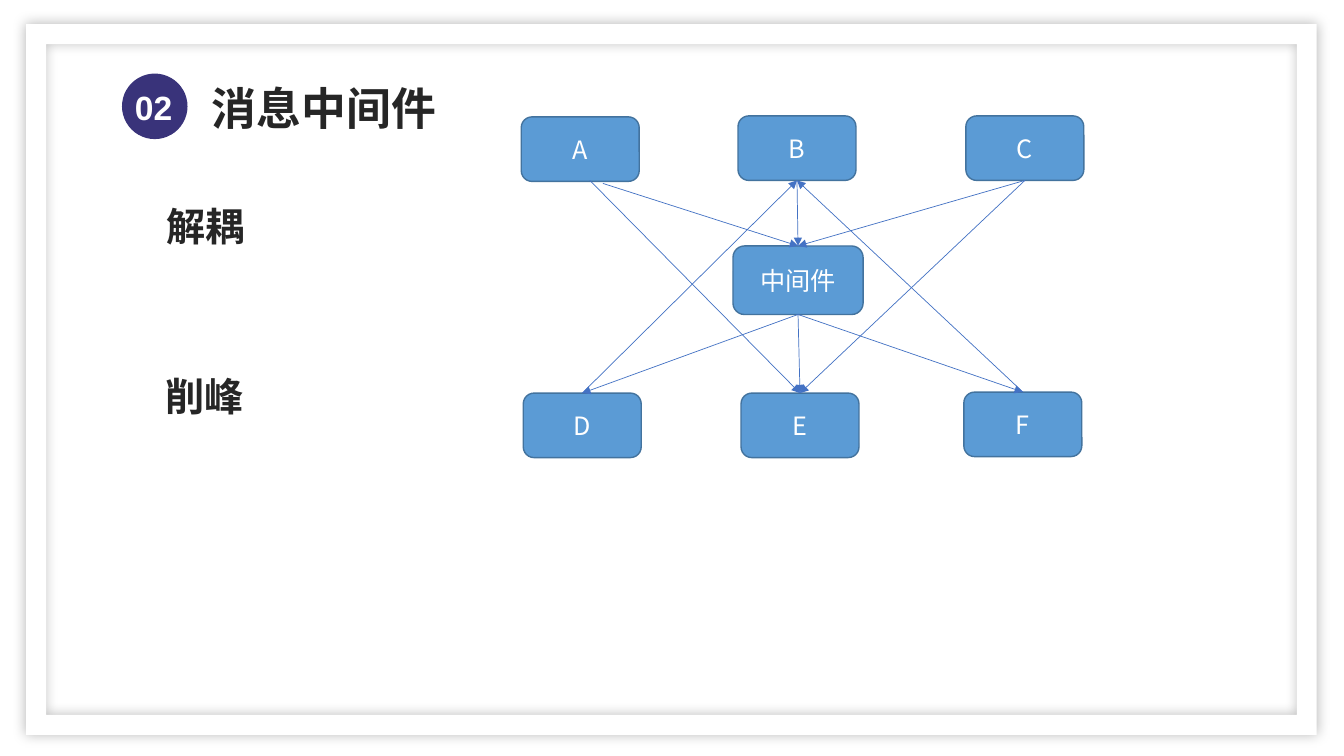
from lxml import etree
from pptx import Presentation
from pptx.dml.color import RGBColor
from pptx.enum import shapes as sh, text as tx
from pptx.oxml import parse_xml
from pptx.oxml.ns import nsdecls, qn
from pptx.util import Inches, Pt

WHITE = RGBColor(0xFF, 0xFF, 0xFF)
INK = RGBColor(0x26, 0x26, 0x26)
PURPLE = RGBColor(0x39, 0x33, 0x7A)
BLUE = RGBColor(0x5B, 0x9B, 0xD5)
EDGE = RGBColor(0x43, 0x73, 0x9E)
ARROW = RGBColor(0x44, 0x72, 0xC4)

TOP, BOTTOM, LEFT, RIGHT = 0, 2, 1, 3
NODE_W, NODE_H = 1.17, 0.64
# Left and top of each node, relative to the diagram
NODES = {
    "A": (0, 0.01), "B": (2.15, 0), "C": (4.41, 0),
    "D": (0.02, 2.75), "E": (2.18, 2.75), "F": (4.39, 2.74),
}
HUB = "中间件"
LINKS = [
    ("D", TOP, "B", BOTTOM), ("F", TOP, "B", BOTTOM), ("C", BOTTOM, "E", TOP),
    ("B", BOTTOM, HUB, TOP), ("C", BOTTOM, HUB, TOP),
    (HUB, BOTTOM, "D", TOP), (HUB, BOTTOM, "E", TOP), (HUB, BOTTOM, "F", TOP),
]
# Arrows from A start beside the middle of its lower side
LOOSE = [(0.68, 0.64, "E"), (0.81, 0.67, HUB)]


def style(run, size, color, face="Arial", bold=True):
    run.font.size, run.font.bold = Pt(size), bold
    run.font.name, run.font.color.rgb = face, color
    if face != "Arial":
        east = etree.SubElement(run.font._element, qn("a:ea"))
        east.set("typeface", face)


def shape(slide, kind, box, fill, edge=None):
    item = slide.shapes.add_shape(kind, *map(Inches, box))
    item.shadow.inherit = False
    item.fill.solid()
    item.fill.fore_color.rgb = fill
    if edge is None:
        item.line.fill.background()
    else:
        item.line.color.rgb, item.line.width = edge, Pt(1)
    return item


def label(slide, box, words, size, color):
    item = slide.shapes.add_textbox(*map(Inches, box))
    frame = item.text_frame
    frame.word_wrap = True
    frame.text = words
    style(frame.paragraphs[0].runs[0], size, color)


def border(slide, box):
    """White frame around the slide with a soft shadow."""
    item = shape(slide, sh.MSO_SHAPE.FRAME, box, WHITE)
    item.adjustments[0] = 0.028
    glow = item._element.spPr.find(qn("a:effectLst"))
    glow.append(parse_xml(
        f'<a:outerShdw {nsdecls("a")} blurRad="{Pt(9)}" dist="0" dir="0" '
        'algn="ctr" rotWithShape="0"><a:srgbClr val="000000">'
        '<a:alpha val="27000"/></a:srgbClr></a:outerShdw>'))


def heading(slide, x, y):
    title = slide.shapes.title
    title.left, title.top = Inches(x + 0.79), Inches(y - 0.09)
    title.width, title.height = Inches(6.99), Inches(0.71)
    frame = title.text_frame
    frame.text = "消息中间件"
    frame.word_wrap = True
    frame.auto_size = tx.MSO_AUTO_SIZE.NONE
    frame.vertical_anchor = tx.MSO_ANCHOR.TOP
    para = frame.paragraphs[0]
    para.alignment, para.line_spacing = tx.PP_ALIGN.LEFT, 1.2
    style(para.runs[0], 32, INK)
    shape(slide, sh.MSO_SHAPE.OVAL, (x, y, 0.65, 0.65), PURPLE)
    label(slide, (x + 0.03, y + 0.08, 0.62, 0.5), "02", 24, WHITE)


def topics(slide, x, y):
    for row, words in enumerate(("解耦", "削峰")):
        label(slide, (x - 0.01 * row, y + 1.68 * row, 2.59, 0.57),
              words, 28, INK)


def node(slide, box, words):
    item = shape(slide, sh.MSO_SHAPE.ROUNDED_RECTANGLE, box, BLUE, EDGE)
    frame = item.text_frame
    frame.text = words
    frame.vertical_anchor = tx.MSO_ANCHOR.MIDDLE
    para = frame.paragraphs[0]
    para.alignment = tx.PP_ALIGN.CENTER
    style(para.runs[0], 18, WHITE, "Noto Sans CJK SC", False)
    return item


def arrow(slide, goal, side, x=0, y=0):
    """Arrow from a point to the middle of a side of the goal."""
    link = slide.shapes.add_connector(
        sh.MSO_CONNECTOR.STRAIGHT, Inches(x), Inches(y), 0, 0)
    link.end_connect(goal, side)
    link.line.color.rgb, link.line.width = ARROW, Pt(0.5)
    etree.SubElement(link.line._get_or_add_ln(), qn("a:tailEnd"),
                     type="triangle")
    etree.SubElement(link._element.spPr, qn("a:effectLst"))
    return link


def diagram(slide, x, y):
    nodes = {name: node(slide, (x + dx, y + dy, NODE_W, NODE_H), name)
             for name, (dx, dy) in NODES.items()}
    nodes[HUB] = node(slide, (x + 2.1, y + 1.29, 1.29, 0.68), HUB)
    for dx, dy, goal in LOOSE:
        arrow(slide, nodes[goal], TOP, x + dx, y + dy)
    for start, out, goal, side in LINKS:
        arrow(slide, nodes[goal], side).begin_connect(nodes[start], out)


def main():
    deck = Presentation()
    deck.slide_width, deck.slide_height = Inches(13.33), Inches(7.5)
    slide = deck.slides.add_slide(deck.slide_layouts[5])
    border(slide, (0.26, 0.24, 12.8, 7.05))
    heading(slide, 1.21, 0.73)
    topics(slide, 1.55, 1.96)
    diagram(slide, 5.17, 1.15)
    deck.save("out.pptx")


if __name__ == "__main__":
    main()
